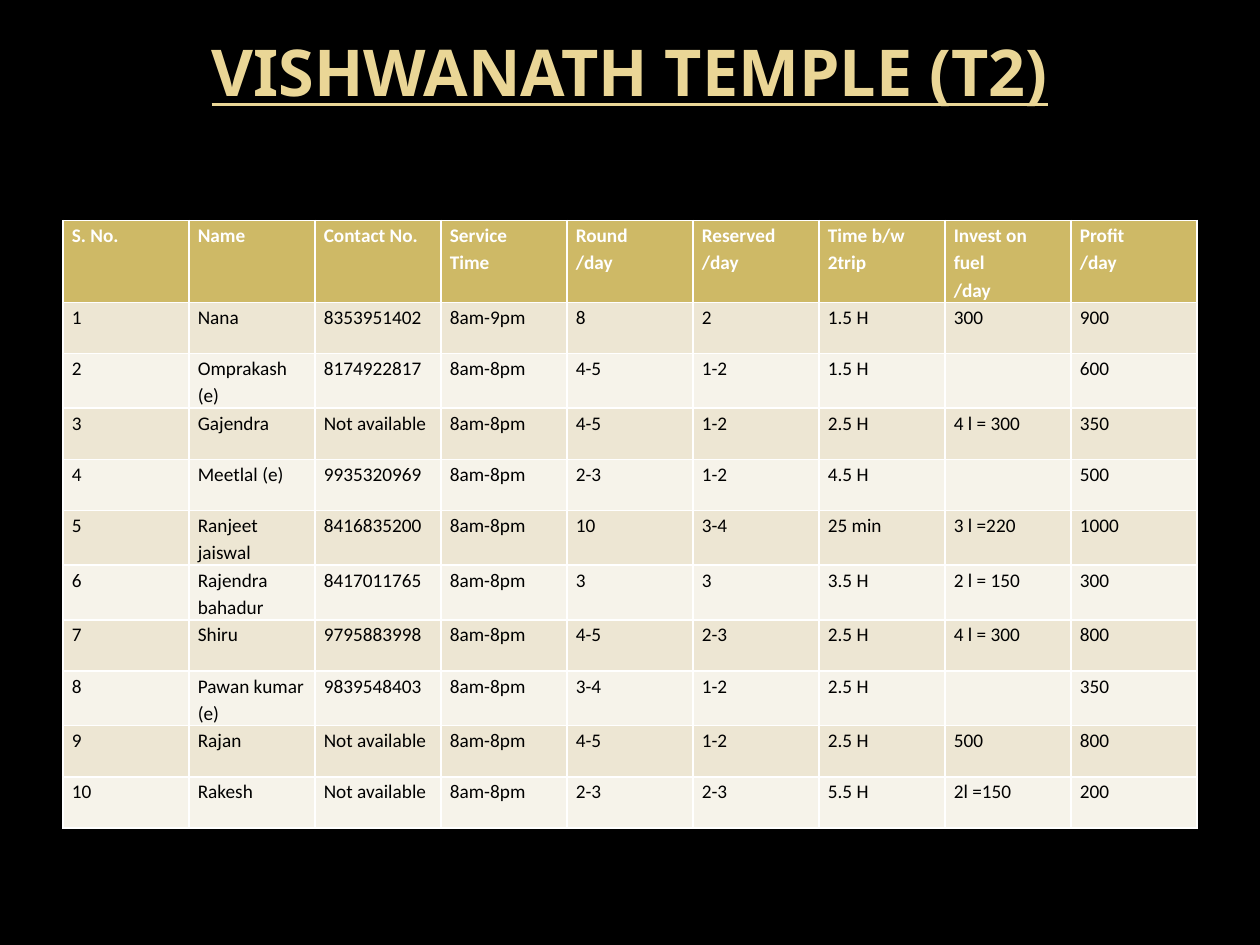
from dataclasses import dataclass

from pptx import Presentation, util as u
from pptx.dml.color import RGBColor
from pptx.enum import text


@dataclass(frozen=True)
class Theme:
    """Colours, fonts and type sizes of the slide."""
    background: str = "000000"
    title: str = "EAD696"
    header: str = "CEB966"
    bands: tuple = ("EDE6D3", "F6F3EA")
    header_text: str = "FFFFFF"
    body_text: str = "000000"
    title_font: str = "Noto Sans"
    table_font: str = "Calibri"
    title_size: float = 36.9
    table_size: float = 11


THEME = Theme()
HEADINGS = ["S. No.", "Name", "Contact No.", "Service\nTime", "Round\n/day",
            "Reserved /day", "Time b/w 2trip", "Invest on fuel\n/day", "Profit\n/day"]
DRIVERS = [
    ["Nana", "8353951402", "8am-9pm", "8", "2", "1.5 H", "300", "900"],
    ["Omprakash (e)", "8174922817", "8am-8pm", "4-5", "1-2", "1.5 H", "", "600"],
    ["Gajendra", "Not available", "8am-8pm", "4-5", "1-2", "2.5 H", "4 l = 300", "350"],
    ["Meetlal (e)", "9935320969", "8am-8pm", "2-3", "1-2", "4.5 H", "", "500"],
    ["Ranjeet jaiswal", "8416835200", "8am-8pm", "10", "3-4", "25 min", "3 l =220", "1000"],
    ["Rajendra bahadur", "8417011765", "8am-8pm", "3", "3", "3.5 H", "2 l = 150", "300"],
    ["Shiru", "9795883998", "8am-8pm", "4-5", "2-3", "2.5 H", "4 l = 300", "800"],
    ["Pawan kumar (e)", "9839548403", "8am-8pm", "3-4", "1-2", "2.5 H", "", "350"],
    ["Rajan", "Not available", "8am-8pm", "4-5", "1-2", "2.5 H", "500", "800"],
    ["Rakesh", "Not available", "8am-8pm", "2-3", "2-3", "5.5 H", "2l =150", "200"],
]


def apply(target, values):
    """Set each attribute of the target from a dict."""
    for attribute, value in values.items():
        setattr(target, attribute, value)


def write(frame, words, color, font, paragraph):
    """Fill a text frame and format its paragraphs and runs."""
    frame.text = words
    for line in frame.paragraphs:
        apply(line, paragraph)
        for run in line.runs:
            apply(run.font, font)
            run.font.color.rgb = RGBColor.from_string(color)


def place_title(slide, box, words):
    """Put the heading at the top of its box."""
    heading = slide.shapes.title
    apply(heading, dict(zip(("left", "top", "width", "height"), box)))
    apply(heading.text_frame, {"vertical_anchor": text.MSO_ANCHOR.TOP,
                               "word_wrap": True, "margin_top": 0})
    write(heading.text_frame, words, THEME.title,
          {"name": THEME.title_font, "size": u.Pt(THEME.title_size),
           "bold": True, "underline": True},
          {"alignment": text.PP_ALIGN.CENTER, "line_spacing": 0.95})


def place_timetable(slide, box, rows):
    """Lay out the drivers in equal rows and columns of the box."""
    timetable = slide.shapes.add_table(len(rows), len(rows[0]), *box).table
    for number, (row, entries) in enumerate(zip(timetable.rows, rows)):
        is_header = number == 0
        fill = THEME.header if is_header else THEME.bands[(number - 1) % 2]
        color = THEME.header_text if is_header else THEME.body_text
        for cell, entry in zip(row.cells, entries):
            cell.fill.solid()
            cell.fill.fore_color.rgb = RGBColor.from_string(fill)
            apply(cell, {"margin_left": u.Inches(0.07), "margin_right": u.Inches(0.07),
                         "margin_top": 0, "margin_bottom": 0})
            write(cell.text_frame, entry, color,
                  {"name": THEME.table_font, "size": u.Pt(THEME.table_size),
                   "bold": is_header},
                  {"line_spacing": 1.15})


def build():
    """Build the temple slide and save it."""
    deck = Presentation()
    apply(deck, {"slide_width": u.Inches(10), "slide_height": u.Inches(7.5)})
    slide = deck.slides.add_slide(deck.slide_layouts[5])
    slide.background.fill.solid()
    slide.background.fill.fore_color.rgb = RGBColor.from_string(THEME.background)
    margin = u.Inches(0.5)
    width = deck.slide_width - 2 * margin
    place_title(slide, (margin, u.Inches(0.3), width, u.Inches(1.25)),
                "VISHWANATH TEMPLE (T2)")
    numbered = [[str(number), *driver] for number, driver in enumerate(DRIVERS, 1)]
    place_timetable(slide, (margin, u.Inches(1.75), width, u.Inches(4.47)),
                    [HEADINGS, *numbered])
    deck.save("out.pptx")


build()
